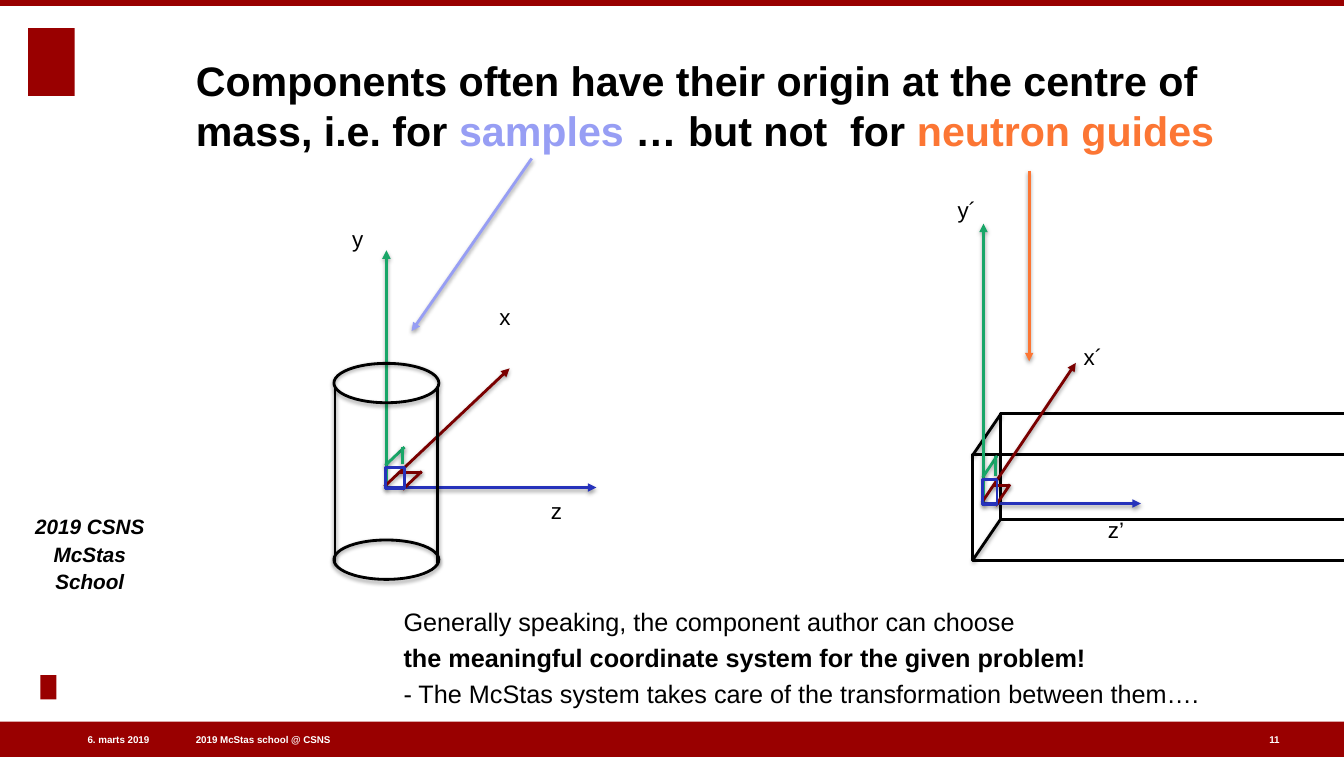
import lxml.etree
import pptx
import pptx.dml.color
import pptx.enum.shapes
import pptx.enum.text
import pptx.oxml.ns
import pptx.util

RGB = pptx.dml.color.RGBColor
BLACK, WHITE = RGB(0, 0, 0), RGB(255, 255, 255)
BRAND, LILAC, ORANGE = RGB(0x99, 0, 0), RGB(0x97, 0x9E, 0xF4), RGB(0xFC, 0x76, 0x34)
GREEN, BLUE, MAROON = RGB(0x19, 0xA6, 0x68), RGB(0x26, 0x32, 0xBB), RGB(0x7A, 0, 0)

COLS, ROWS = 133.2, 75
CELL = 91440
SHAPE = pptx.enum.shapes.MSO_SHAPE
ALIGN = pptx.enum.text.PP_ALIGN
ANCHOR = pptx.enum.text.MSO_ANCHOR

AXES = [
    (GREEN, (0.1, 0.1), (0.1, -23.6), True),
    (BLUE, (0.1, -0.1), (20.9, -0.1), True),
    (MAROON, (-0.1, -0.2), (12.3, -11.9), True),
    (MAROON, (1.3, -1.6), (3.6, -1.6), False),
    (MAROON, (1.7, 0.1), (3.6, -1.7), False),
    (GREEN, (0, -2.3), (1.9, -4.1), False),
    (GREEN, (1.7, -2.4), (1.7, -4.1), False),
]


def grid(*cells):
    return [pptx.util.Emu(round(c * CELL)) for c in cells]


class Page:
    """Draws styled elements on one slide, measured in grid columns and rows."""

    def __init__(self, deck):
        self.font = "Arial"
        self.slide = deck.slides.add_slide(deck.slide_layouts[5])

    def shade(self, item):
        props = item._element.spPr
        for old in props.findall(pptx.oxml.ns.qn("a:effectLst")):
            props.remove(old)
        list_ = lxml.etree.SubElement(props, pptx.oxml.ns.qn("a:effectLst"))
        glow = lxml.etree.SubElement(
            list_, pptx.oxml.ns.qn("a:outerShdw"),
            blurRad="38100", dist="20320", dir="5400000", rotWithShape="0")
        tint = lxml.etree.SubElement(glow, pptx.oxml.ns.qn("a:srgbClr"), val="000000")
        lxml.etree.SubElement(tint, pptx.oxml.ns.qn("a:alpha"), val="38000")

    def shape(self, kind, box, fill=None, line=None, shade=False):
        item = self.slide.shapes.add_shape(kind, *grid(*box))
        item.shadow.inherit = False
        if fill is None:
            item.fill.background()
        else:
            item.fill.solid()
            item.fill.fore_color.rgb = fill
        if line is None:
            item.line.fill.background()
        else:
            item.line.color.rgb = line
            item.line.width = pptx.util.Pt(2)
        if shade:
            self.shade(item)

    def line(self, start, end, color, arrow=False):
        kind = pptx.enum.shapes.MSO_CONNECTOR.STRAIGHT
        item = self.slide.shapes.add_connector(kind, *grid(*start, *end))
        item.line.color.rgb = color
        item.line.width = pptx.util.Pt(2)
        if arrow:
            edge = item.line._get_or_add_ln()
            lxml.etree.SubElement(edge, pptx.oxml.ns.qn("a:tailEnd"), type="triangle")
        self.shade(item)

    def style(self, run, size, color, bold=False, italic=False):
        font = run.font
        font.name, font.size = self.font, pptx.util.Pt(size)
        font.bold, font.italic = bold, italic
        font.color.rgb = color

    def frame(self, item, anchor, wrap=True):
        frame = item.text_frame
        frame.auto_size = pptx.enum.text.MSO_AUTO_SIZE.NONE
        frame.margin_left = frame.margin_right = 0
        frame.margin_top = frame.margin_bottom = 0
        frame.vertical_anchor, frame.word_wrap = anchor, wrap
        return frame

    def title(self, box, parts, size):
        item = self.slide.shapes.title
        item.left, item.top, item.width, item.height = grid(*box)
        para = self.frame(item, ANCHOR.BOTTOM).paragraphs[0]
        para.alignment = ALIGN.LEFT
        for words, color in parts:
            run = para.add_run()
            run.text = words
            self.style(run, size, color, bold=True)

    def text(self, box, words, size, color=BLACK, bold=(), italic=False,
             align=ALIGN.LEFT, anchor=ANCHOR.TOP, wrap=True, space=None):
        item = self.slide.shapes.add_textbox(*grid(*box))
        frame = self.frame(item, anchor, wrap)
        frame.text = words
        for row, para in enumerate(frame.paragraphs):
            para.alignment = align
            if space:
                para.line_spacing = space
            if row:
                para.space_before = pptx.util.Pt(4)
            for run in para.runs:
                self.style(run, size, color, row in bold, italic)

    def axes(self, left, base, wide=1, tall=1):
        for color, start, end, arrow in AXES:
            ends = [(left + x * wide, base + y * tall) for x, y in (start, end)]
            self.line(*ends, color, arrow)
        box = (left, base - 2.1 * tall, 1.9 * wide, 2.1 * tall)
        self.shape(SHAPE.RECTANGLE, box, line=BLUE)


def main():
    deck = pptx.Presentation()
    deck.slide_width, deck.slide_height = grid(COLS, ROWS)
    page = Page(deck)
    rect, oval = SHAPE.RECTANGLE, SHAPE.OVAL

    for box in ((2.8, 2.8, 4.6, 6.7), (4, 66.9, 1.6, 2.4),
                (0, 71.5, COLS, 3.5), (0, 0, COLS, 0.6)):
        page.shape(rect, box, fill=BRAND)
    for left, width, words, align, wrap in (
            (19.4, 37.2, "2019 McStas school @ CSNS", ALIGN.LEFT, True),
            (2.7, 12.1, "6. marts 2019", ALIGN.RIGHT, True),
            (125.8, 1.4, "11", ALIGN.LEFT, False)):
        page.text((left, 72.6, width, 1.4), words, 7, WHITE, bold=(0,),
                  align=align, anchor=ANCHOR.MIDDLE, wrap=wrap)
    page.text((3.4, 50.9, 11, 7.9), "2019 CSNS\vMcStas School", 14.8, bold=(0,),
              italic=True, align=ALIGN.CENTER, anchor=ANCHOR.BOTTOM, space=1.1)
    page.title((19.4, 4.7, 101.8, 10.6), [
        ("Components often have their origin at the centre of mass, i.e. for ", BLACK),
        ("samples", LILAC),
        (" … but not  for ", BLACK),
        ("neutron guides", ORANGE),
    ], 29.4)

    page.shape(rect, (99.2, 41, 78.4, 10.5), fill=WHITE, line=BLACK)
    page.shape(rect, (96.4, 45, 78.4, 10.5), line=BLACK)
    for top in (41, 51.4):
        page.line((96.4, top + 4.1), (99.2, top), BLACK)
    page.axes(97.4, 50, wide=0.75, tall=1.18)

    page.shape(oval, (33.1, 53.5, 10.4, 3.9), line=BLACK, shade=True)
    page.axes(38.2, 48.4)
    page.shape(oval, (33.1, 36, 10.4, 3.9), line=BLACK, shade=True)
    for left in (33.2, 43.4):
        page.line((left, 55.8), (left, 38.4), BLACK)

    for left, top, name in ((49.5, 30, "x"), (34.9, 22.3, "y"), (54.6, 49.3, "z"),
                            (107.4, 34, "x´"), (94.9, 19.4, "y´"), (109.8, 51.1, "z’")):
        page.text((left, top, 2.5, 4), name, 16)
    page.line((52.7, 15.7), (40.8, 32.8), LILAC, arrow=True)
    page.line((102, 16.9), (102, 35.8), ORANGE, arrow=True)

    page.text((40, 60.1, 92, 9.9), "\n".join([
        "Generally speaking, the component author can choose",
        "the meaningful coordinate system for the given problem!",
        "- The McStas system takes care of the transformation between them….",
    ]), 18, bold=(1,))
    deck.save("out.pptx")


if __name__ == "__main__":
    main()
